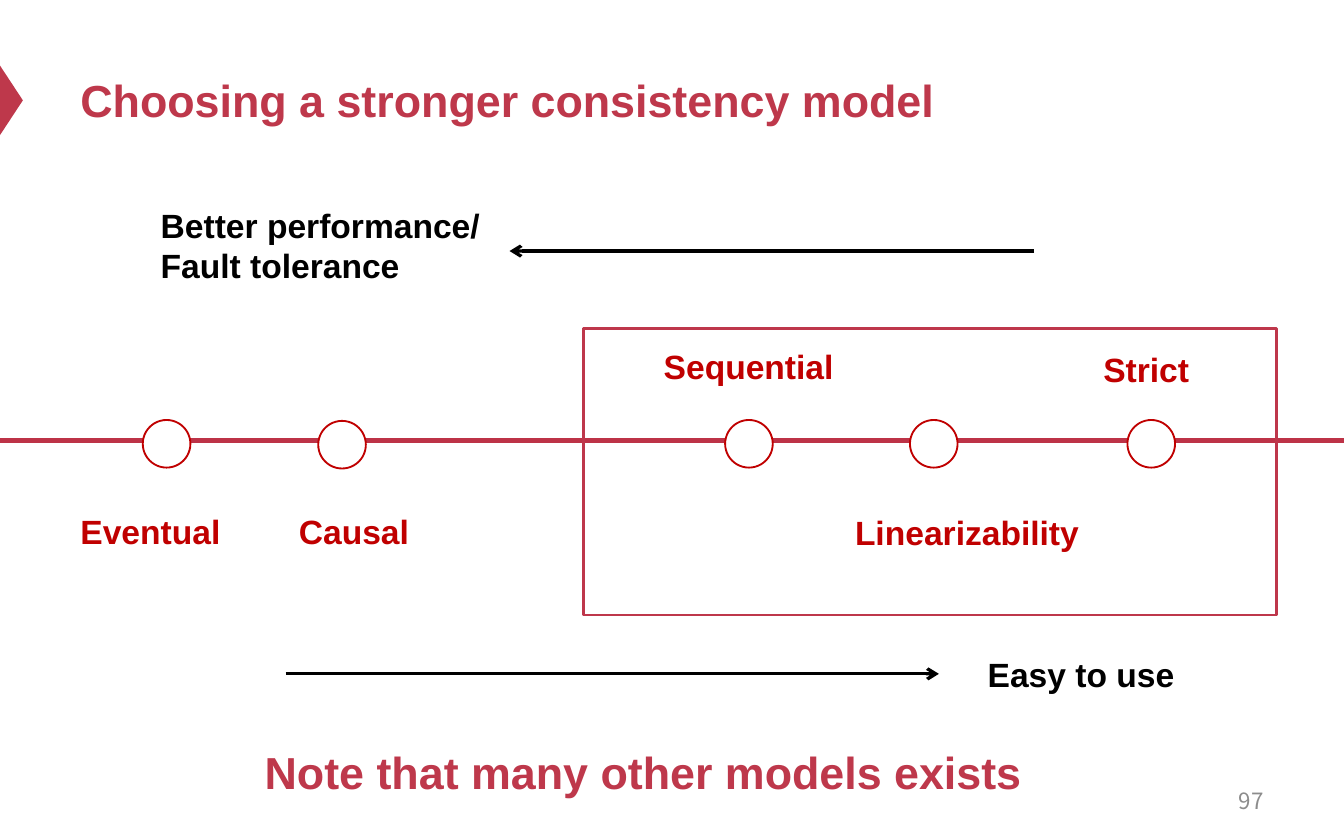
import pptx
import pptx.dml.color
import pptx.enum.shapes
import pptx.enum.text
import pptx.oxml
import pptx.oxml.ns
import pptx.util

Pt = pptx.util.Pt
SHAPE = pptx.enum.shapes.MSO_SHAPE
ALIGN = pptx.enum.text.PP_ALIGN
ANCHOR = pptx.enum.text.MSO_ANCHOR
CRIMSON, RED, BLACK, GREY, WHITE = "BE384B", "C00000", "000000", "8C8C8C", "FFFFFF"

presentation = pptx.Presentation()
presentation.slide_width = Pt(720)
presentation.slide_height = Pt(450)
slide = presentation.slides.add_slide(presentation.slide_layouts[6])


def rgb(color):
    return pptx.dml.color.RGBColor.from_string(color)


def add_text(text, left, top, width, height, size, color,
             align=ALIGN.LEFT, anchor=ANCHOR.TOP, wrap=False, bold=True, font="Arial"):
    frame = slide.shapes.add_textbox(Pt(left), Pt(top), Pt(width), Pt(height)).text_frame
    frame.word_wrap = wrap
    frame.vertical_anchor = anchor
    frame.text = text
    for paragraph in frame.paragraphs:
        paragraph.alignment = align
        for run in paragraph.runs:
            run.font.name = font
            run.font.size = Pt(size)
            run.font.bold = bold
            run.font.color.rgb = rgb(color)


# Title with its marker at the slide edge
marker = slide.shapes.add_shape(SHAPE.ISOSCELES_TRIANGLE, Pt(-13), Pt(47.5), Pt(38), Pt(12.5))
marker.rotation = 90
marker.shadow.inherit = False
marker.fill.solid()
marker.fill.fore_color.rgb = rgb(CRIMSON)
marker.line.fill.background()
add_text("Choosing a stronger consistency model", 36, 18, 648, 70.5, 24, CRIMSON,
         anchor=ANCHOR.MIDDLE, wrap=True)

# Consistency axis and the two trade-off arrows
for x_start, x_end, y, color, weight, has_head in [
    (-23, 720, 236, "BD3347", 2.5, False),
    (554, 273, 134.5, BLACK, 1.75, True),
    (153, 503, 361, BLACK, 1.75, True),
]:
    line = slide.shapes.add_connector(
        pptx.enum.shapes.MSO_CONNECTOR.STRAIGHT, Pt(x_start), Pt(y), Pt(x_end), Pt(y))
    line.line.color.rgb = rgb(color)
    line.line.width = Pt(weight)
    properties = line._element.spPr
    if has_head:
        head = pptx.oxml.parse_xml(
            f'<a:tailEnd {pptx.oxml.ns.nsdecls("a")} type="arrow"/>')
        line.line._get_or_add_ln().append(head)
    properties.append(pptx.oxml.parse_xml(f'<a:effectLst {pptx.oxml.ns.nsdecls("a")}/>'))

add_text("Better performance/\nFault tolerance", 79, 106, 187, 51, 18, BLACK)
add_text("Easy to use", 522, 346.5, 115, 29, 18, BLACK)

# Models along the axis: circle left and top, label left, top and width
for model, circle_left, circle_top, label_left, label_top, label_width in [
    ("Eventual", 76.5, 225, 36, 270, 90),
    ("Causal", 170.5, 225.5, 153, 270, 79),
    ("Sequential", 388.5, 225, 348.5, 182, 106.5),
    ("Linearizability", 487.5, 225, 451, 270.5, 135.5),
    ("Strict", 604, 225, 584, 183.5, 66),
]:
    circle = slide.shapes.add_shape(
        SHAPE.OVAL, Pt(circle_left), Pt(circle_top), Pt(25.5), Pt(25.5))
    circle.shadow.inherit = False
    circle.fill.solid()
    circle.fill.fore_color.rgb = rgb(WHITE)
    circle.line.color.rgb = rgb(RED)
    circle.line.width = Pt(1)
    add_text(model, label_left, label_top, label_width, 29, 18, RED)

# Frame around the stronger models
stronger = slide.shapes.add_shape(SHAPE.RECTANGLE, Pt(312.5), Pt(176), Pt(371.5), Pt(153.5))
stronger.shadow.inherit = False
stronger.fill.background()
stronger.line.color.rgb = rgb("BE374B")
stronger.line.width = Pt(1.5)

# Closing note and page number
add_text("Note that many other models exists", 20.5, 378, 648, 70.5, 24, CRIMSON,
         align=ALIGN.CENTER, anchor=ANCHOR.MIDDLE, wrap=True)
add_text("97", 516, 417, 168, 24, 12, GREY, align=ALIGN.RIGHT, anchor=ANCHOR.MIDDLE,
         wrap=True, bold=False, font="Noto Sans CJK SC")

presentation.save("out.pptx")
